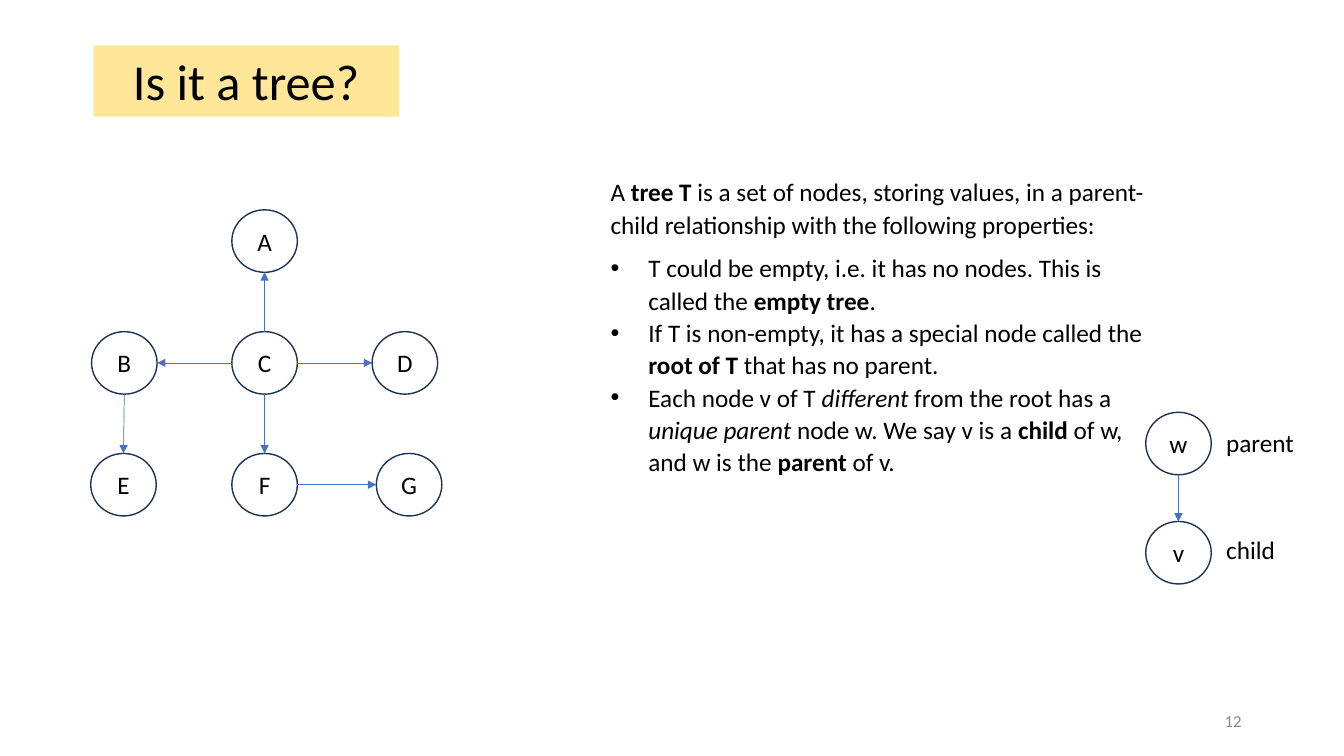
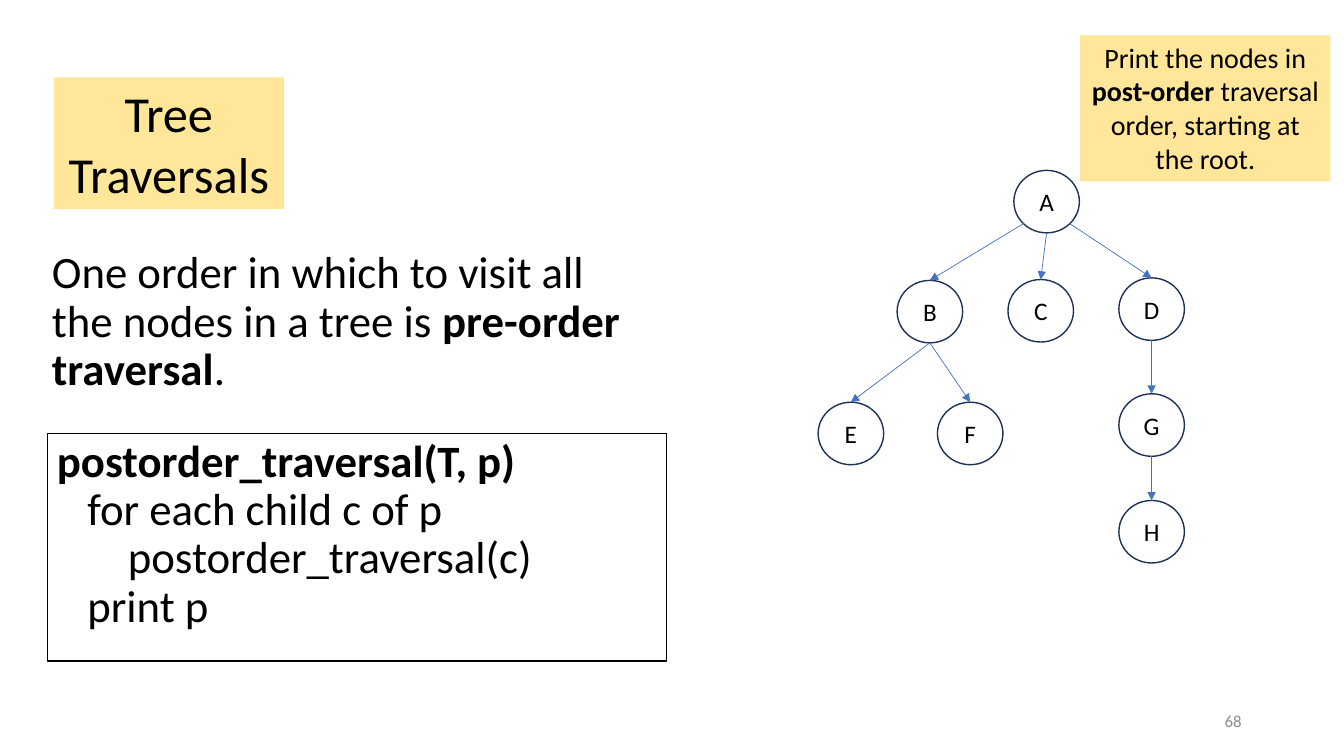
"""Build two lecture slides about trees: the definition and post-order traversal."""
from dataclasses import dataclass
from enum import Enum

from lxml.etree import SubElement
from pptx import Presentation
from pptx.dml.color import RGBColor as Color
from pptx.enum.shapes import MSO_CONNECTOR as Connector, MSO_SHAPE as Preset
from pptx.enum.text import MSO_ANCHOR as Anchor, MSO_AUTO_SIZE as AutoSize, PP_ALIGN as Align
from pptx.oxml.ns import qn
from pptx.util import Inches, Pt

COLUMNS, ROWS = 160, 90
CELL = Inches(1) / 12
FONT = "Calibri"
COLORS = {
    "text": "000000",
    "band": "FFE699",
    "outline": "1E3256",
    "arrow": "4472C4",
    "number": "8C8C8C",
}
NODE_WIDTH, NODE_HEIGHT = 7.8, 7.44
DIAGONAL = 0.35
BULLET_INDENT = 4.5
TITLE_ONLY = 5


class Side(Enum):
    """Point on a node's rim, as shares of its size from the centre."""
    TOP = (0, -0.5)
    BOTTOM = (0, 0.5)
    LEFT = (-0.5, 0)
    RIGHT = (0.5, 0)
    BOTTOM_LEFT = (-DIAGONAL, DIAGONAL)
    BOTTOM_RIGHT = (DIAGONAL, DIAGONAL)


@dataclass(frozen=True)
class Area:
    """Rectangle in grid columns and rows."""
    column: float
    row: float
    columns: float
    rows: float


@dataclass(frozen=True)
class Span:
    """Piece of text with one emphasis."""
    text: str
    bold: bool = False
    italic: bool = False


@dataclass(frozen=True)
class Para:
    """Paragraph made of spans."""
    spans: tuple
    align: Align = Align.LEFT
    spacing: float = 1.0
    after: float = 0
    bullet: bool = False


@dataclass(frozen=True)
class Node:
    """Labelled circle, placed by its centre."""
    label: str
    column: float
    row: float


@dataclass(frozen=True)
class Edge:
    """Arrow from one node's rim to another's."""
    start: str
    end: str
    leave: Side = Side.BOTTOM
    reach: Side = Side.TOP


def cells(count: float) -> int:
    """Convert grid cells to slide units."""
    return round(count * CELL)


def bounds(area: Area) -> tuple:
    """Return left, top, width and height in slide units."""
    return tuple(map(cells, (area.column, area.row, area.columns, area.rows)))


def color(name: str) -> Color:
    """Look up a palette colour."""
    return Color.from_string(COLORS[name])


def add_bullet(para) -> None:
    """Give a paragraph a hanging round bullet."""
    properties = para._p.get_or_add_pPr()
    properties.set("marL", str(cells(BULLET_INDENT)))
    properties.set("indent", str(-cells(BULLET_INDENT)))
    SubElement(properties, qn("a:buFont"), typeface="Arial")
    SubElement(properties, qn("a:buChar"), char="•")


def add_span(para, span: Span, size: float, ink: str) -> None:
    """Append a span, turning newlines into line breaks."""
    for index, line in enumerate(span.text.split("\n")):
        if index:
            para.add_line_break()
        if line:
            run = para.add_run()
            run.text = line
            run.font.name, run.font.size = FONT, Pt(size)
            run.font.bold, run.font.italic = span.bold, span.italic
            run.font.color.rgb = color(ink)


def write(box, paras: tuple, size: float, ink: str = "text",
          anchor: Anchor = Anchor.TOP, wrap: bool = True) -> None:
    """Fill a shape's text frame."""
    frame = box.text_frame
    frame.auto_size = AutoSize.NONE
    frame.word_wrap, frame.vertical_anchor = wrap, anchor
    for index, content in enumerate(paras):
        para = frame.add_paragraph() if index else frame.paragraphs[0]
        if content.bullet:
            add_bullet(para)
        para.alignment, para.line_spacing = content.align, content.spacing
        para.space_before, para.space_after = Pt(0), Pt(content.after)
        for span in content.spans:
            add_span(para, span, size, ink)


def plain(text: str, align: Align = Align.LEFT) -> tuple:
    """Make a single unemphasised paragraph."""
    return (Para((Span(text),), align),)


def add_text(page, area: Area, paras: tuple, size: float, **style) -> None:
    """Add a text box."""
    write(page.shapes.add_textbox(*bounds(area)), paras, size, **style)


def add_box(page, preset: Preset, area: Area, fill: str = "", line: str = "", width: float = 1):
    """Add a preset shape without shadow."""
    box = page.shapes.add_shape(preset, *bounds(area))
    box.shadow.inherit = False
    if fill:
        box.fill.solid()
        box.fill.fore_color.rgb = color(fill)
    else:
        box.fill.background()
    if line:
        box.line.color.rgb, box.line.width = color(line), Pt(width)
    else:
        box.line.fill.background()
    return box


def add_node(page, node: Node) -> None:
    """Draw a labelled circle."""
    area = Area(node.column - NODE_WIDTH / 2, node.row - NODE_HEIGHT / 2, NODE_WIDTH, NODE_HEIGHT)
    circle = add_box(page, Preset.OVAL, area, line="outline")
    frame = circle.text_frame
    frame.margin_left = frame.margin_right = frame.margin_top = frame.margin_bottom = 0
    write(circle, plain(node.label, Align.CENTER), 18, anchor=Anchor.MIDDLE)


def rim(node: Node, side: Side) -> tuple:
    """Locate a rim point in slide units."""
    across, down = side.value
    return cells(node.column + across * NODE_WIDTH), cells(node.row + down * NODE_HEIGHT)


def add_graph(page, nodes: tuple, edges: tuple) -> None:
    """Draw nodes and the arrows between them."""
    by_label = {node.label: node for node in nodes}
    for node in nodes:
        add_node(page, node)
    for edge in edges:
        start, end = rim(by_label[edge.start], edge.leave), rim(by_label[edge.end], edge.reach)
        arrow = page.shapes.add_connector(Connector.STRAIGHT, *start, *end)
        arrow.line.color.rgb, arrow.line.width = color("arrow"), Pt(0.5)
        SubElement(arrow.line._get_or_add_ln(), qn("a:tailEnd"), type="triangle")
        SubElement(arrow._element.spPr, qn("a:effectLst"))


def add_page(deck, title: str, area: Area, number: str):
    """Add a slide with its title band and page number."""
    page = deck.slides.add_slide(deck.slide_layouts[TITLE_ONLY])
    band = page.shapes.title
    band.left, band.top, band.width, band.height = bounds(area)
    band.fill.solid()
    band.fill.fore_color.rgb = color("band")
    write(band, plain(title, Align.CENTER), 36)
    add_text(page, Area(113, 83.4, 36, 4.8), plain(number, Align.RIGHT), 12,
             ink="number", anchor=Anchor.MIDDLE)
    return page


def build_definition(deck) -> None:
    """Build the slide that defines a tree."""
    page = add_page(deck, "Is it a tree?", Area(11.1, 5.4, 36.4, 8.5), "12")
    left, middle, right = (14.8 + 16.7 * step for step in range(3))
    top, center, bottom = (28.7 + 14.5 * step for step in range(3))
    add_graph(page, (
        Node("A", middle, top), Node("B", left, center), Node("C", middle, center),
        Node("D", right, center), Node("E", left - 0.1, bottom),
        Node("F", middle, bottom), Node("G", right + 0.5, bottom),
        Node("w", 140.3, 52.8), Node("v", 140.3, 65.8),
    ), (
        Edge("C", "A", Side.TOP, Side.BOTTOM), Edge("C", "B", Side.LEFT, Side.RIGHT),
        Edge("C", "D", Side.RIGHT, Side.LEFT), Edge("C", "F"), Edge("B", "E"),
        Edge("F", "G", Side.RIGHT, Side.LEFT), Edge("w", "v"),
    ))
    add_text(page, Area(71.5, 20.2, 67.6, 37.4), (
        Para((Span("A "), Span("tree T", bold=True),
              Span(" is a set of nodes, storing values, in a parent-child relationship "
                   "with the following properties:")), spacing=1.07, after=8),
        Para((Span("T could be empty, i.e. it has no nodes. This is called the "),
              Span("empty tree", bold=True), Span(".")), spacing=1.07, bullet=True),
        Para((Span("If T is non-empty, it has a special node called the "),
              Span("root of T", bold=True), Span(" that has no parent.")),
             spacing=1.07, bullet=True),
        Para((Span("Each node v of T "), Span("different", italic=True),
              Span(" from the root has a "), Span("unique parent", italic=True),
              Span(" node w. We say v is a "), Span("child", bold=True),
              Span(" of w, and w is the "), Span("parent", bold=True), Span(" of v.")),
             spacing=1.07, after=8, bullet=True),
    ), 18)
    add_text(page, Area(144.8, 50.3, 10.6, 4.8), plain("parent"), 18, wrap=False)
    add_text(page, Area(144.8, 63, 8.3, 4.8), plain("child"), 18, wrap=False)


def build_traversal(deck) -> None:
    """Build the slide about traversal orders."""
    page = add_page(deck, "Tree Traversals", Area(6.4, 9.2, 27.4, 15.7), "68")
    add_graph(page, (
        Node("A", 124.6, 24), Node("B", 110.7, 37.1), Node("C", 123.9, 37),
        Node("D", 137.1, 36.8), Node("E", 101.3, 51.6), Node("F", 115.5, 51.6),
        Node("G", 137.1, 50.6), Node("H", 137.1, 63.3),
    ), (
        Edge("A", "B", Side.BOTTOM_LEFT), Edge("A", "C"), Edge("A", "D", Side.BOTTOM_RIGHT),
        Edge("B", "E"), Edge("B", "F"), Edge("D", "G"), Edge("G", "H"),
    ))
    code = add_box(page, Preset.RECTANGLE, Area(5.6, 51.6, 73.8, 27.1), line="text", width=0.75)
    write(code, (Para((
        Span("postorder_traversal(T, p)\n", bold=True),
        Span("   for each child c of p\n       postorder_traversal(c)\n   print p"),
    ), spacing=0.9),), 32)
    callout = add_box(page, Preset.RECTANGLE, Area(128.6, 4.2, 29.8, 17.4), fill="band")
    write(callout, (Para((
        Span("Print the nodes in\n"), Span("post-order", bold=True),
        Span(" traversal order, starting at the root."),
    ), Align.CENTER),), 20)
    add_text(page, Area(5, 29.2, 70.7, 19), (Para((
        Span("One order in which to visit all the nodes in a tree is "),
        Span("pre-order traversal", bold=True), Span("."),
    ), spacing=0.9),), 32)


def main() -> None:
    """Build and save the deck."""
    deck = Presentation()
    deck.slide_width, deck.slide_height = cells(COLUMNS), cells(ROWS)
    build_definition(deck)
    build_traversal(deck)
    deck.save("out.pptx")


if __name__ == "__main__":
    main()
